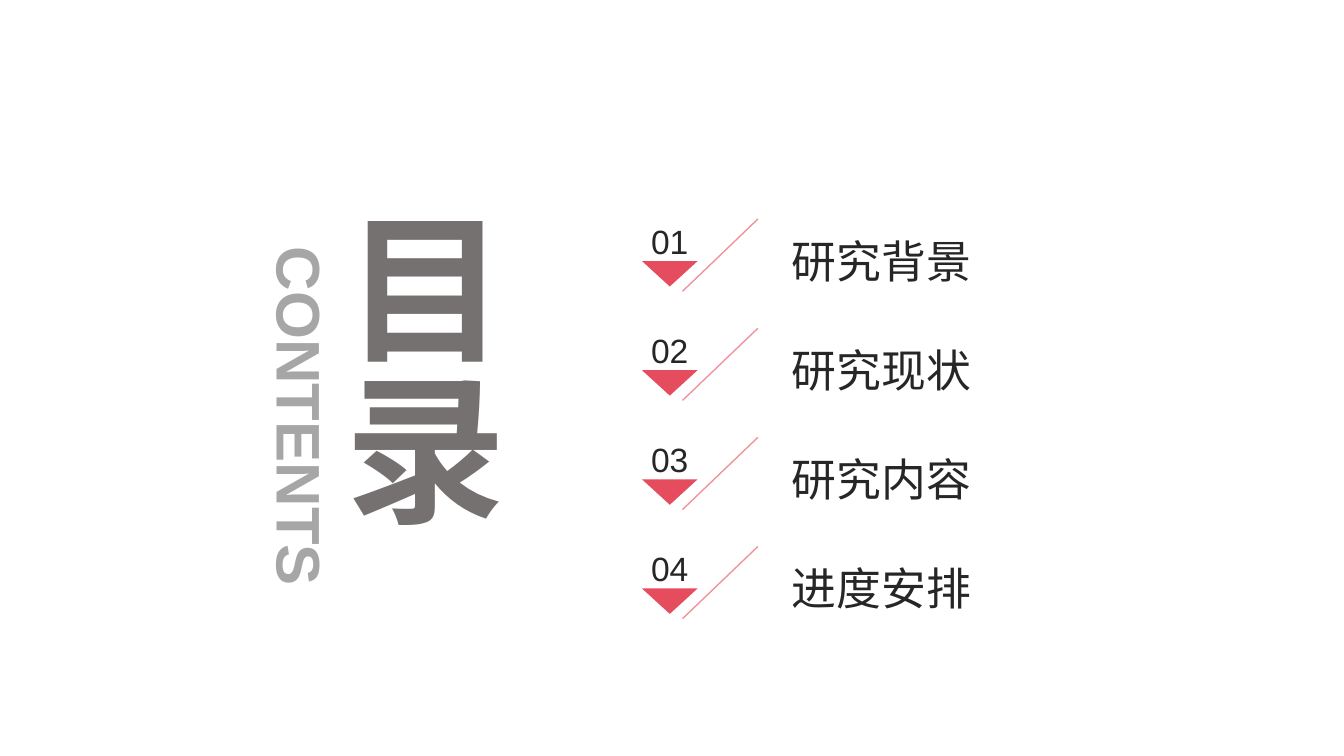
from dataclasses import dataclass

from lxml.etree import SubElement
from pptx import Presentation
from pptx.dml.color import RGBColor
from pptx.enum.shapes import MSO_CONNECTOR
from pptx.enum.text import MSO_ANCHOR, MSO_AUTO_SIZE, PP_ALIGN
from pptx.oxml.ns import qn
from pptx.shapes.autoshape import Shape
from pptx.slide import Slide
from pptx.util import Cm, Pt

INK = RGBColor(0x26, 0x26, 0x26)
RED = RGBColor(0xE5, 0x4C, 0x5E)
PINK = RGBColor(0xEF, 0x94, 0x9E)
DARK_GREY = RGBColor(0x76, 0x71, 0x71)
LIGHT_GREY = RGBColor(0xA6, 0xA6, 0xA6)
FONT = "Arial"
ROW_PITCH = 2.75


@dataclass(frozen=True)
class Label:
    text: str
    left: float
    top: float
    width: float
    height: float
    size: float
    color: RGBColor
    anchor: MSO_ANCHOR = MSO_ANCHOR.MIDDLE
    align: PP_ALIGN = PP_ALIGN.CENTER
    bold: bool = False


@dataclass(frozen=True)
class Chapter:
    number: str
    title: str


CHAPTERS = [
    Chapter("01", "研究背景"),
    Chapter("02", "研究现状"),
    Chapter("03", "研究内容"),
    Chapter("04", "进度安排"),
]


def add_label(page: Slide, label: Label) -> Shape:
    box = page.shapes.add_textbox(
        Cm(label.left), Cm(label.top), Cm(label.width), Cm(label.height)
    )
    frame = box.text_frame
    frame.word_wrap = True
    frame.auto_size = MSO_AUTO_SIZE.SHAPE_TO_FIT_TEXT
    frame.vertical_anchor = label.anchor
    frame.margin_left = frame.margin_right = 0
    frame.margin_top = frame.margin_bottom = 0
    para = frame.paragraphs[0]
    para.alignment = label.align
    span = para.add_run()
    span.text = label.text
    span.font.name = FONT
    span.font.size = Pt(label.size)
    span.font.bold = label.bold
    span.font.color.rgb = label.color
    return box


def add_slash(page: Slide, top: float) -> None:
    slash = page.shapes.add_connector(
        MSO_CONNECTOR.STRAIGHT, Cm(19.1), Cm(top), Cm(17.2), Cm(top + 1.82)
    )
    slash.line.color.rgb = PINK
    slash.line.width = Pt(1)
    SubElement(slash.element.spPr, qn("a:effectLst"))


def add_marker(page: Slide, top: float) -> None:
    left, width, height = 16.18, 1.4, 0.64
    outline = page.shapes.build_freeform(Cm(left), Cm(top))
    outline.add_line_segments(
        [(Cm(left + width), Cm(top)), (Cm(left + width / 2), Cm(top + height))],
        close=True,
    )
    marker = outline.convert_to_shape()
    marker.shadow.inherit = False
    marker.fill.solid()
    marker.fill.fore_color.rgb = RED
    marker.line.fill.background()


def add_chapter(page: Slide, chapter: Chapter, offset: float) -> None:
    add_label(page, Label(chapter.title, 19.96, 5.87 + offset, 8.08, 1.37, 32, INK,
                          align=PP_ALIGN.LEFT))
    add_slash(page, 5.52 + offset)
    add_marker(page, 6.58 + offset)
    add_label(page, Label(chapter.number, 16.13, 5.56 + offset, 1.5, 1.02, 24, INK,
                          anchor=MSO_ANCHOR.BOTTOM))


def add_heading(page: Slide) -> None:
    heading = add_label(
        page, Label("目录", 8.13, 5.23, 4.93, 10.54, 115, DARK_GREY, bold=True)
    )
    heading.element.txBody.bodyPr.set("vert", "eaVert")
    subtitle = add_label(
        page, Label("CONTENTS", 3, 9.55, 9.17, 1.88, 44, LIGHT_GREY,
                    anchor=MSO_ANCHOR.TOP, bold=True)
    )
    subtitle.rotation = 90


def main() -> None:
    deck = Presentation()
    deck.slide_width = Cm(33.87)
    deck.slide_height = Cm(19.05)
    page = deck.slides.add_slide(deck.slide_layouts[6])
    for row, chapter in enumerate(CHAPTERS):
        add_chapter(page, chapter, row * ROW_PITCH)
    add_heading(page)
    deck.save("out.pptx")


if __name__ == "__main__":
    main()
